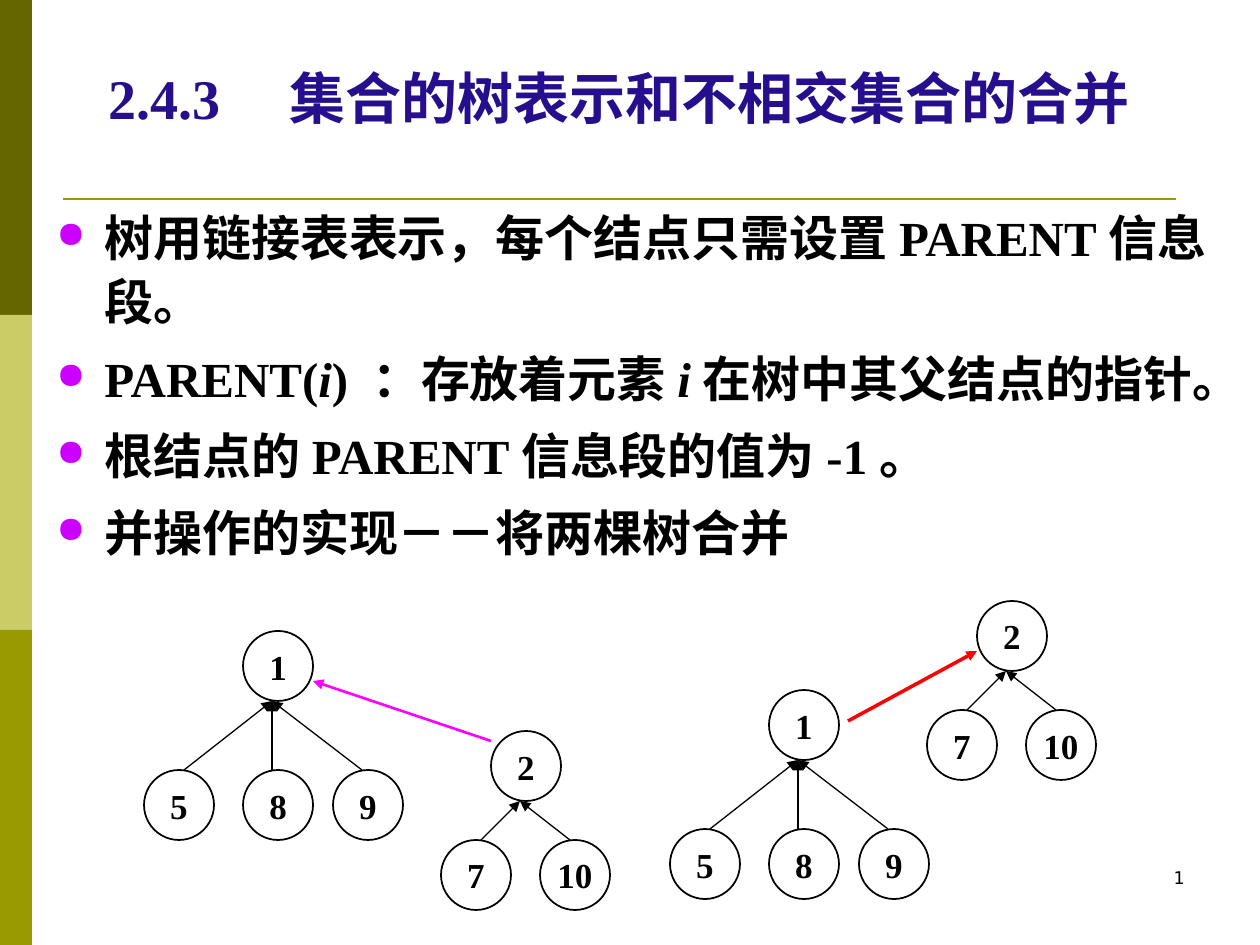
from lxml import etree
from pptx import Presentation
from pptx import util as u
from pptx.dml.color import RGBColor
from pptx.enum import shapes, text
from pptx.oxml.ns import qn

PX = 914400 / 126  # EMU in one px
SERIF, SANS = "Times New Roman", "DejaVu Sans"
COLORS = {
    "black": "000000", "title": "260E8C", "bullet": "CC00FF",
    "dark": "666600", "pale": "CCCC66", "olive": "999900",
    "magenta": "FF00FF", "red": "FF0000",
}
NODE = 70   # diameter of a tree node
TIP = 29    # offset at which edges meet their parent

TITLE = "2.4.3　集合的树表示和不相交集合的合并"
# Asterisks enclose the italic parts
POINTS = [
    ("树用链接表表示，每个结点只需设置PARENT信息段。", SERIF),
    ("PARENT(*i*) ：存放着元素*i*在树中其父结点的指针。", SERIF),
    ("根结点的PARENT信息段的值为-1。", SERIF),
    ("并操作的实现－－将两棵树合并", SANS),
]
# Root label, drop to the children, and (label, x offset, edge start) of each child
TREE_ONE = ("1", 139, [("5", -99, 40), ("8", 0, 29), ("9", 90, 29)])
TREE_TWO = ("2", 109, [("7", -50, 40), ("10", 49, 30)])


def px(*values):
    return [u.Emu(round(v * PX)) for v in values]


def rgb(name):
    return RGBColor.from_string(COLORS[name])


def style(paragraph, size, color="black", font=SERIF, bold=True):
    for run in paragraph.runs:
        run.font.size = u.Pt(size)
        run.font.name = font
        run.font.bold = bold
        run.font.color.rgb = rgb(color)


def add_band(slide, top, color):
    band = slide.shapes.add_shape(shapes.MSO_SHAPE.RECTANGLE, *px(0, top, 32, 315))
    band.shadow.inherit = False
    band.fill.solid()
    band.fill.fore_color.rgb = rgb(color)
    band.line.fill.background()


def add_line(parent, start, end, color="black", width=0.75, arrow=True):
    line = parent.shapes.add_connector(
        shapes.MSO_CONNECTOR.STRAIGHT, *px(*start, *end))
    line.line.color.rgb = rgb(color)
    line.line.width = u.Pt(width)
    if arrow:
        etree.SubElement(line.line._get_or_add_ln(), qn("a:tailEnd"), type="triangle")
    etree.SubElement(line._element.spPr, qn("a:effectLst"))


def add_label(slide, box, words, size, align, **look):
    label = slide.shapes.add_textbox(*px(*box))
    frame = label.text_frame
    frame.word_wrap = True
    frame.text = words
    frame.paragraphs[0].alignment = align
    style(frame.paragraphs[0], size, **look)
    return frame


def add_bullet(paragraph):
    props = paragraph._p.get_or_add_pPr()
    indent = px(48)[0]
    props.set("marL", str(indent))
    props.set("indent", str(-indent))
    color = etree.SubElement(props, qn("a:buClr"))
    etree.SubElement(color, qn("a:srgbClr"), val=COLORS["bullet"])
    etree.SubElement(props, qn("a:buSzPct"), val="75000")
    etree.SubElement(props, qn("a:buChar"), char="●")


def add_points(slide):
    frame = slide.shapes.add_textbox(*px(44, 195, 1216, 446)).text_frame
    frame.word_wrap = True
    for i, (words, font) in enumerate(POINTS):
        point = frame.add_paragraph() if i else frame.paragraphs[0]
        point.line_spacing = 1.1
        if i:
            point.space_before = u.Pt(7)
        add_bullet(point)
        for j, part in enumerate(words.split("*")):
            run = point.add_run()
            run.text = part
            run.font.italic = j % 2 == 1
        style(point, 28, font=font)


def add_node(group, left, top, label):
    node = group.shapes.add_shape(shapes.MSO_SHAPE.OVAL, *px(left, top, NODE, NODE))
    node.shadow.inherit = False
    node.fill.background()
    node.line.color.rgb = rgb("black")
    node.line.width = u.Pt(1)
    frame = node.text_frame
    frame.word_wrap = False
    frame.vertical_anchor = text.MSO_ANCHOR.MIDDLE
    frame.text = label
    frame.paragraphs[0].alignment = text.PP_ALIGN.CENTER
    style(frame.paragraphs[0], 20)


def add_tree(group, left, top, tree):
    root, drop, children = tree
    add_node(group, left, top, root)
    for label, offset, edge in children:
        x, y = left + offset, top + drop
        add_node(group, x, y, label)
        add_line(group, (x + edge, y), (left + TIP, top + NODE))


def main():
    prs = Presentation()
    prs.slide_width, prs.slide_height = px(1260, 945)
    slide = prs.slides.add_slide(prs.slide_layouts[6])

    # Side bands and rule
    for i, color in enumerate(("dark", "pale", "olive")):
        add_band(slide, 315 * i, color)
    add_line(slide, (63, 199), (1176, 199), "olive", 1.5, arrow=False)

    # Page number, title and points
    add_label(slide, (903, 861, 294, 63), "1", 10, text.PP_ALIGN.RIGHT,
              font=SANS, bold=False)
    title = add_label(slide, (84, 45, 1071, 92), TITLE, 32, text.PP_ALIGN.CENTER,
                      color="title")
    title.vertical_anchor = text.MSO_ANCHOR.BOTTOM
    add_points(slide)

    # Left: tree 2 is hung under tree 1
    add_tree(slide.shapes.add_group_shape(), 243, 631, TREE_ONE)
    add_tree(slide.shapes.add_group_shape(), 491, 731, TREE_TWO)
    add_line(slide, (491, 741), (313, 681), "magenta", 1.5)

    # Right: tree 1 is hung under tree 2
    merged = slide.shapes.add_group_shape()
    add_tree(merged, 769, 690, TREE_ONE)
    add_tree(merged, 977, 601, TREE_TWO)
    add_line(merged, (848, 721), (977, 651), "red", 2)

    prs.save("out.pptx")


if __name__ == "__main__":
    main()
